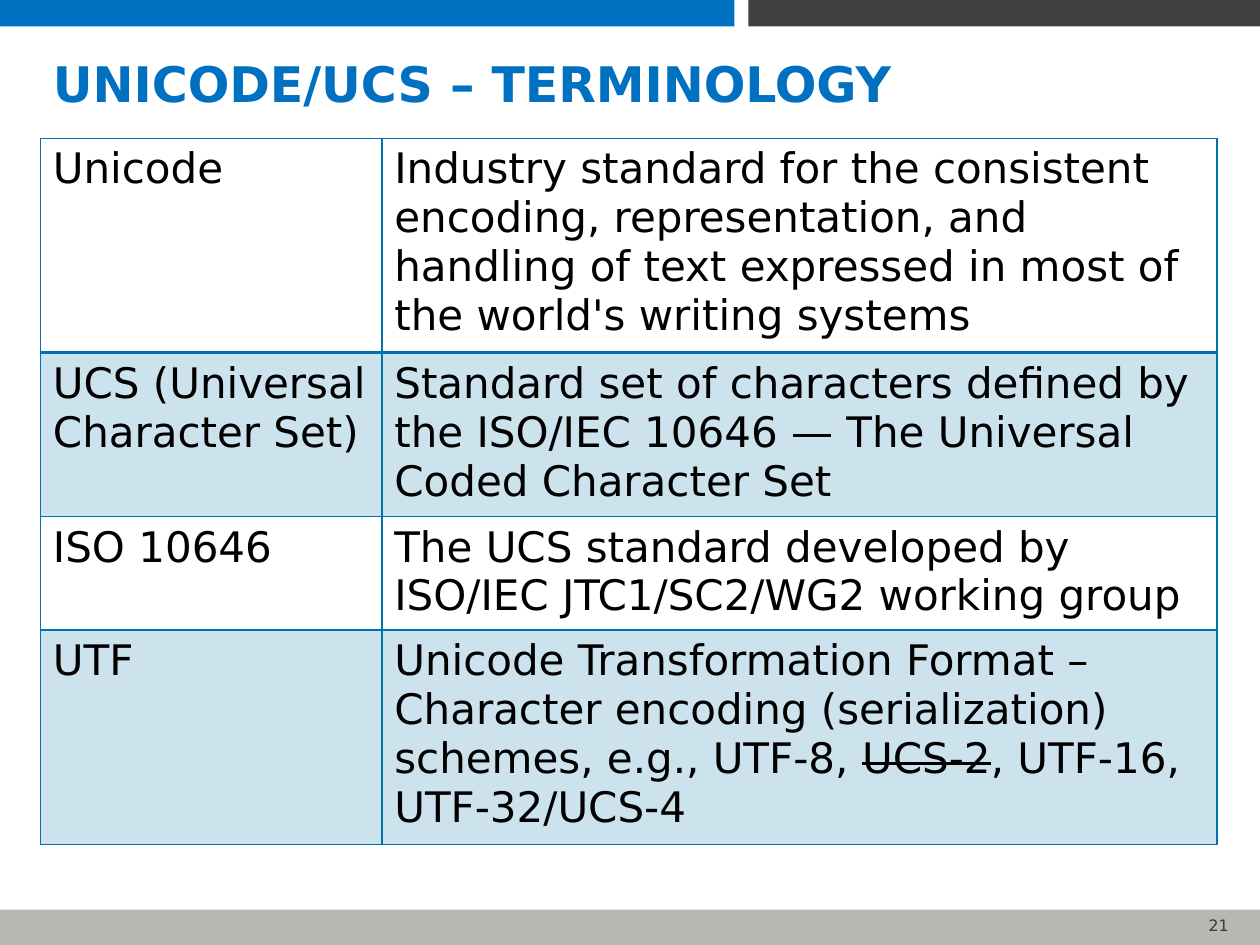
from dataclasses import dataclass

from lxml import etree
from pptx import Presentation
from pptx.dml.color import RGBColor
from pptx.enum.shapes import MSO_SHAPE
from pptx.enum.text import MSO_ANCHOR, PP_ALIGN
from pptx.oxml.ns import qn
from pptx.util import Inches, Pt

RECTANGLE = MSO_SHAPE.RECTANGLE
MIDDLE = MSO_ANCHOR.MIDDLE
LEFT, RIGHT = PP_ALIGN.LEFT, PP_ALIGN.RIGHT
TITLE_ONLY = 5


@dataclass(frozen=True)
class Theme:
    font: str = "DejaVu Sans"
    accent: str = "0070C0"
    dark: str = "404040"
    footer: str = "B7B7B3"
    number: str = "363B3E"
    text: str = "000000"
    grid: str = "0073AE"
    band_opacity: int = 20
    title_size: int = 28
    table_size: int = 24
    number_size: int = 9


THEME = Theme()

BARS = [
    (0, 7.22, 10, 0.28, THEME.footer),
    (0, 0, 5.83, 0.21, THEME.accent),
    (5.94, 0, 4.06, 0.21, THEME.dark),
]
COLUMN_WIDTHS = [2.71, 6.63]
ROW_HEIGHTS = [0.8, 0.8, 0.8, 0.97]
# Each definition is a list of (text, struck through) runs.
TERMS = [
    ("Unicode", [("Industry standard for the consistent encoding, representation, "
                  "and handling of text expressed in most of the world's "
                  "writing systems", False)]),
    ("UCS (Universal Character Set)",
     [("Standard set of characters defined by the ISO/IEC 10646 — "
       "The Universal Coded Character Set", False)]),
    ("ISO 10646", [("The UCS standard developed by ISO/IEC JTC1/SC2/WG2 "
                    "working group", False)]),
    ("UTF", [("Unicode Transformation Format – Character encoding "
              "(serialization) schemes, e.g., UTF-8, ", False),
             ("UCS-2", True),
             (", UTF-16, UTF-32/UCS-4", False)]),
]


def add_run(paragraph, text, size, color, bold=False, struck=False):
    run = paragraph.add_run()
    run.text = text
    run.font.name = THEME.font
    run.font.size = Pt(size)
    run.font.bold = bold
    run.font.color.rgb = RGBColor.from_string(color)
    if struck:
        run.font._element.set("strike", "sngStrike")


def add_bar(slide, left, top, width, height, color):
    bar = slide.shapes.add_shape(RECTANGLE, Inches(left), Inches(top),
                                 Inches(width), Inches(height))
    bar.shadow.inherit = False
    bar.fill.solid()
    bar.fill.fore_color.rgb = RGBColor.from_string(color)
    bar.line.fill.background()


def add_page_number(slide, number):
    box = slide.shapes.add_textbox(Inches(9.14), Inches(7.22), Inches(0.71), Inches(0.25))
    box.text_frame.word_wrap = True
    paragraph = box.text_frame.paragraphs[0]
    paragraph.alignment = RIGHT
    add_run(paragraph, number, THEME.number_size, THEME.number)


def set_title(slide, text):
    title = slide.shapes.title
    title.left, title.top = Inches(0.32), Inches(0.37)
    title.width, title.height = Inches(9.17), Inches(0.58)
    title.text_frame.vertical_anchor = MIDDLE
    paragraph = title.text_frame.paragraphs[0]
    paragraph.alignment = LEFT
    add_run(paragraph, text, THEME.title_size, THEME.accent, bold=True)


def set_borders(cell, top, bottom):
    """Draw the four cell edges; top and bottom are widths in points."""
    properties = cell._tc.get_or_add_tcPr()
    for edge, width in (("L", 1), ("R", 1), ("T", top), ("B", bottom)):
        line = etree.SubElement(properties, qn(f"a:ln{edge}"), w=str(Pt(width)))
        fill = etree.SubElement(line, qn("a:solidFill"))
        etree.SubElement(fill, qn("a:srgbClr"), val=THEME.grid)


def fill_cell(cell, banded):
    if not banded:
        cell.fill.background()
        return
    cell.fill.solid()
    cell.fill.fore_color.rgb = RGBColor.from_string(THEME.grid)
    color = cell._tc.tcPr.find(f"{qn('a:solidFill')}/{qn('a:srgbClr')}")
    etree.SubElement(color, qn("a:alpha"), val=str(THEME.band_opacity * 1000))


def add_terms_table(slide):
    table = slide.shapes.add_table(
        len(TERMS), len(COLUMN_WIDTHS), Inches(0.32), Inches(1.1),
        Inches(sum(COLUMN_WIDTHS)), Inches(sum(ROW_HEIGHTS))).table
    table.first_row = table.horz_banding = False
    for column, width in zip(table.columns, COLUMN_WIDTHS):
        column.width = Inches(width)
    for index, (term, definition) in enumerate(TERMS):
        table.rows[index].height = Inches(ROW_HEIGHTS[index])
        for cell, runs in zip(table.rows[index].cells, ([(term, False)], definition)):
            set_borders(cell, top=2 if index == 1 else 1, bottom=2 if index == 0 else 1)
            fill_cell(cell, banded=index % 2 == 1)
            for text, struck in runs:
                add_run(cell.text_frame.paragraphs[0], text, THEME.table_size,
                        THEME.text, struck=struck)


def main():
    deck = Presentation()
    deck.slide_width, deck.slide_height = Inches(10), Inches(7.5)
    slide = deck.slides.add_slide(deck.slide_layouts[TITLE_ONLY])
    for bar in BARS:
        add_bar(slide, *bar)
    add_page_number(slide, "21")
    set_title(slide, "UNICODE/UCS – TERMINOLOGY")
    add_terms_table(slide)
    deck.save("out.pptx")


if __name__ == "__main__":
    main()
